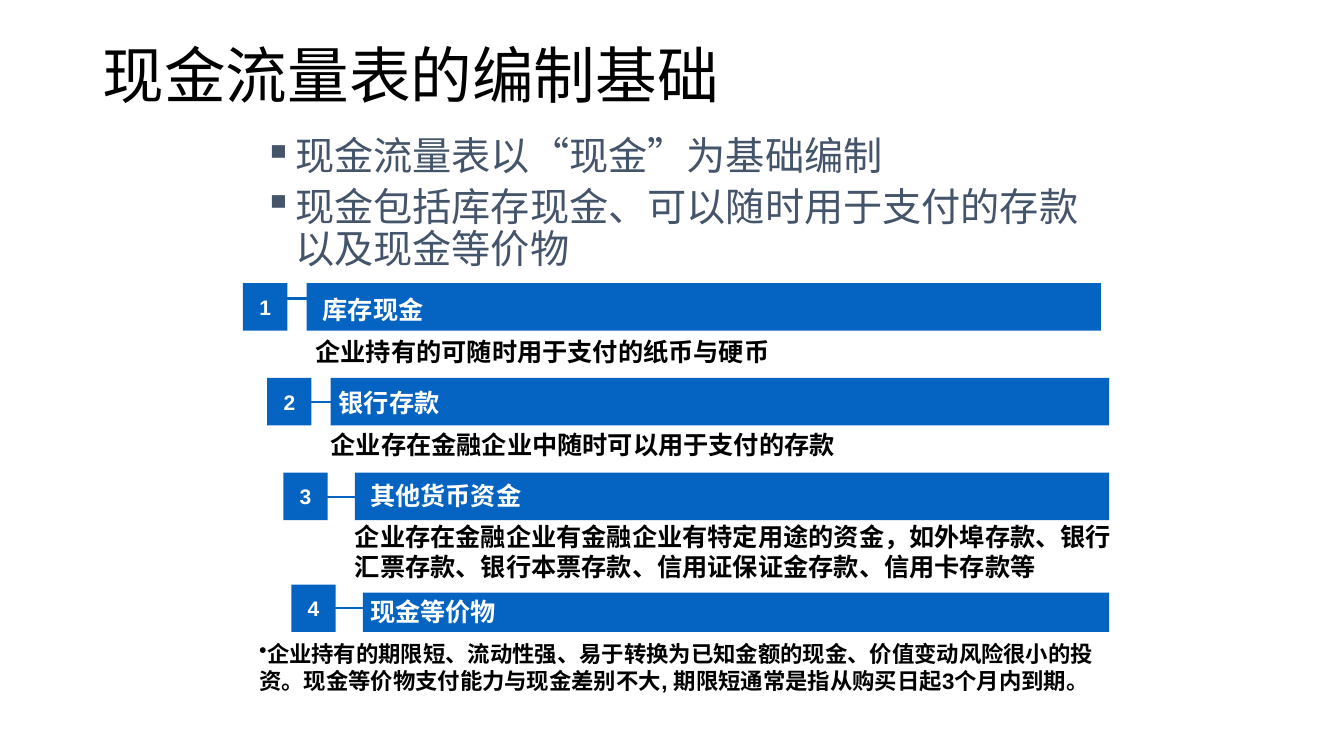
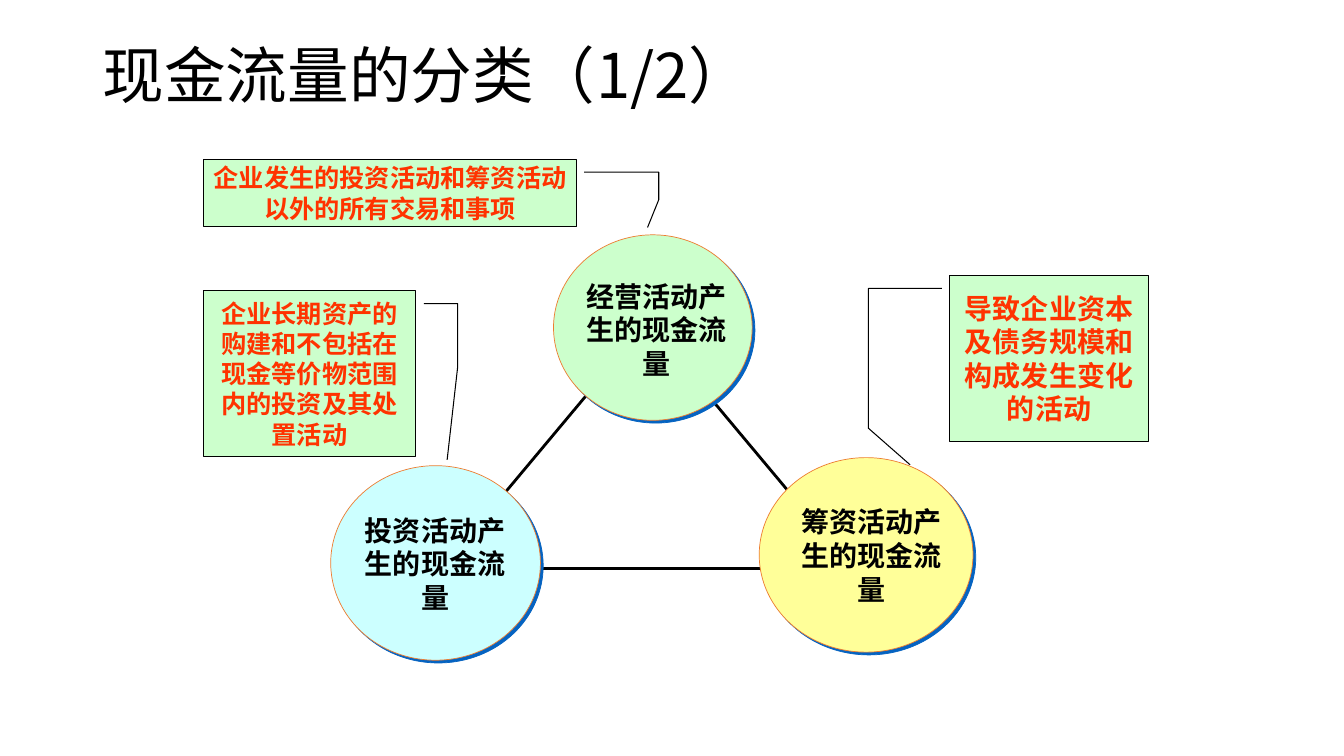
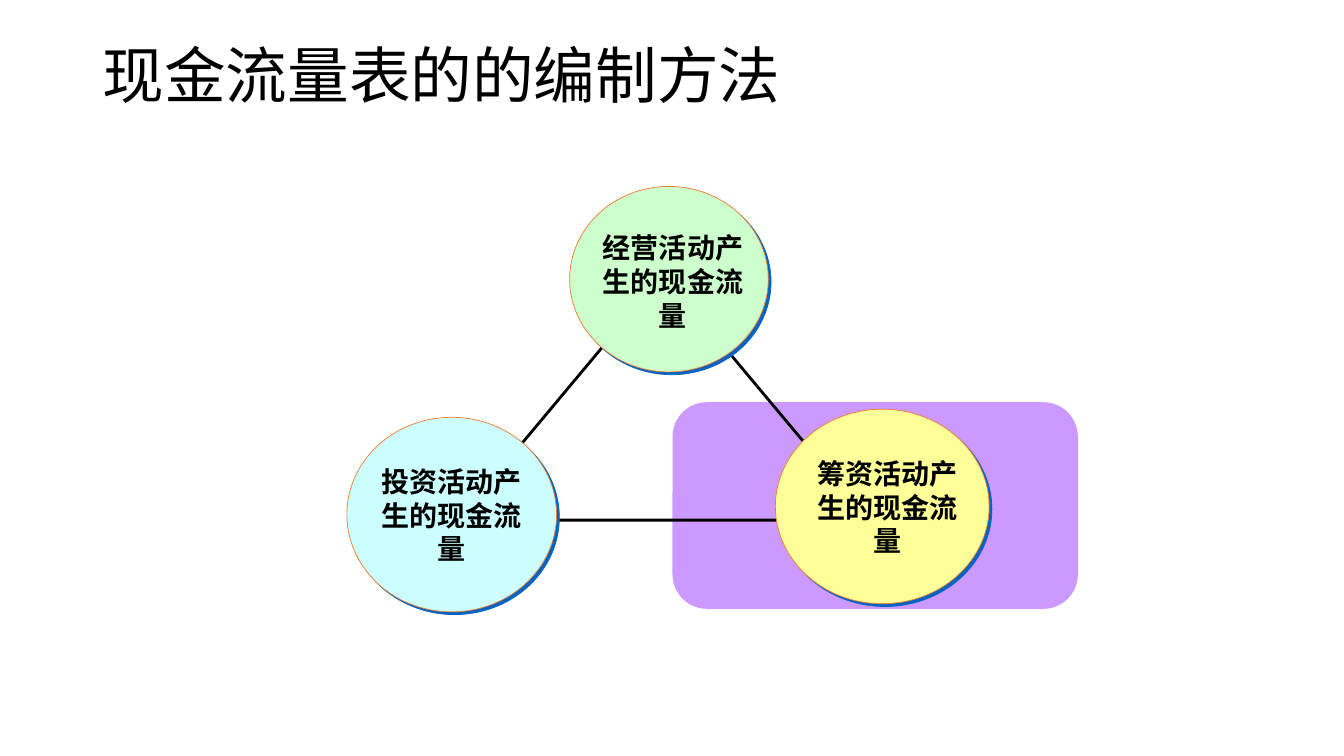
import dataclasses
import pptx
import pptx.dml.color
import pptx.enum.shapes
import pptx.enum.text
import pptx.oxml.ns
import pptx.slide
import pptx.util
from lxml import etree

Inches = pptx.util.Inches
Pt = pptx.util.Pt
KIND = pptx.enum.shapes.MSO_SHAPE
ANCHOR = pptx.enum.text.MSO_ANCHOR
ALIGN = pptx.enum.text.PP_ALIGN
FIT = pptx.enum.text.MSO_AUTO_SIZE
qn = pptx.oxml.ns.qn

COLORS = {
    "blue": "0563C1", "slate": "44546A", "black": "000000", "white": "FFFFFF",
    "green": "CCFFCC", "cyan": "CCFFFF", "yellow": "FFFF99", "violet": "CC99FF",
    "orange": "ED7D31", "red": "FF3300",
}
BODY, HAN = "Arial", "Noto Sans CJK SC"


@dataclasses.dataclass(frozen=True)
class Box:
    x: float
    y: float
    w: float
    h: float

    def move(self, dx: float, dy: float) -> "Box":
        return Box(self.x + dx, self.y + dy, self.w, self.h)

    def place(self) -> tuple:
        return Inches(self.x), Inches(self.y), Inches(self.w), Inches(self.h)


@dataclasses.dataclass(frozen=True)
class Style:
    size: float
    color: str = "black"
    bold: bool = True
    font: str = BODY


@dataclasses.dataclass(frozen=True)
class Step:
    chip: Box
    bar: Box
    wire: float
    head: str
    label: Box
    text: str
    note: Box
    size: float = 18
    bullet: str = ""


@dataclasses.dataclass(frozen=True)
class Node:
    box: Box
    fill: str
    text: str
    label: Box


@dataclasses.dataclass(frozen=True)
class Callout:
    box: Box
    text: str
    size: float
    bends: tuple


STEPS = [
    Step(Box(2.41, 2.81, 0.44, 0.47), Box(3.04, 2.81, 7.88, 0.47), 2.96,
         "库存现金", Box(3.2, 2.92, 6.49, 0.3),
         "企业持有的可随时用于支付的纸币与硬币", Box(3.13, 3.34, 6.49, 0.3)),
    Step(Box(2.65, 3.75, 0.44, 0.47), Box(3.28, 3.75, 7.72, 0.47), 3.99,
         "银行存款", Box(3.36, 3.84, 6.49, 0.3),
         "企业存在金融企业中随时可以用于支付的存款", Box(3.28, 4.26, 6.77, 0.3)),
    Step(Box(2.81, 4.69, 0.44, 0.47), Box(3.52, 4.69, 7.48, 0.47), 4.93,
         "其他货币资金", Box(3.67, 4.77, 6.49, 0.3),
         "企业存在金融企业有金融企业有特定用途的资金，如外埠存款、银行汇票存款、"
         "银行本票存款、信用证保证金存款、信用卡存款等", Box(3.52, 5.17, 7.64, 0.6)),
    Step(Box(2.89, 5.8, 0.44, 0.47), Box(3.6, 5.88, 7.4, 0.39), 6.03,
         "现金等价物", Box(3.67, 5.92, 6.49, 0.3),
         "企业持有的期限短、流动性强、易于转换为已知金额的现金、价值变动风险很小的投资。"
         "现金等价物支付能力与现金差别不大, 期限短通常是指从购买日起3个月内到期。",
         Box(2.57, 6.35, 8.45, 0.53), 16, "•"),
]
POINTS = [
    "现金流量表以“现金”为基础编制",
    "现金包括库存现金、可以随时用于支付的存款以及现金等价物",
]
FRAME = Box(4.38, 3.2, 4.08, 2.44)
NODES = [
    Node(Box(5.49, 2.33, 1.97, 1.84), "green", "经营活动产生的现金流量", Box(5.72, 2.77, 1.59, 1)),
    Node(Box(3.28, 4.62, 2.08, 1.93), "cyan", "投资活动产生的现金流量", Box(3.52, 5.09, 1.59, 1)),
    Node(Box(7.53, 4.54, 2.12, 1.93), "yellow", "筹资活动产生的现金流量", Box(7.85, 5.01, 1.59, 1)),
]
CALLOUTS = [
    Callout(Box(2.02, 1.58, 3.7, 0.67), "企业发生的投资活动和筹资活动以外的所有交易和事项", 18,
            (0.19, 1.02, 0.19, 1.22, 0.6, 1.22, 1.01, 1.19)),
    Callout(Box(2.02, 2.88, 2.1, 1.65), "企业长期资产的购建和不包括在现金等价物范围内的投资及其处置活动", 18,
            (0.08, 1.04, 0.08, 1.2, 0.46, 1.2, 1.02, 1.15)),
    Callout(Box(9.42, 2.73, 1.97, 1.65), "导致企业资本及债务规模和构成发生变化的活动", 20,
            (0.08, -0.04, 0.08, -0.41, 0.92, -0.41, 1.14, -0.2)),
]


def rgb(name: str) -> pptx.dml.color.RGBColor:
    return pptx.dml.color.RGBColor.from_string(COLORS[name])


# Text helpers
def add_run(para, text: str, style: Style) -> None:
    run = para.add_run()
    run.text = text
    font = run.font
    font.size, font.bold, font.name = Pt(style.size), style.bold, style.font
    font.color.rgb = rgb(style.color)
    han = etree.SubElement(run._r.get_or_add_rPr(), qn("a:ea"))
    han.set("typeface", HAN)


def add_mark(para, mark: str, left: float = 0, hang: float = 0, color: str = "black") -> None:
    props = para._p.get_or_add_pPr()
    props.set("marL", str(Inches(left)))
    props.set("indent", str(Inches(hang)))
    tint = etree.SubElement(props, qn("a:buClr"))
    etree.SubElement(tint, qn("a:srgbClr")).set("val", COLORS[color])
    etree.SubElement(props, qn("a:buChar")).set("char", mark)


def trim(frame) -> None:
    frame.margin_left = frame.margin_right = frame.margin_top = frame.margin_bottom = 0
    frame.vertical_anchor = ANCHOR.MIDDLE


def add_label(slide: pptx.slide.Slide, box: Box, text: str, style: Style,
              align: ALIGN = ALIGN.LEFT, mark: str = "") -> None:
    frame = slide.shapes.add_textbox(*box.place()).text_frame
    frame.word_wrap, frame.auto_size = True, FIT.SHAPE_TO_FIT_TEXT
    trim(frame)
    para = frame.paragraphs[0]
    para.alignment = align
    if mark:
        add_mark(para, mark)
    add_run(para, text, style)


def add_title(slide: pptx.slide.Slide, text: str) -> None:
    frame = slide.shapes.add_textbox(*Box(0.92, 0.4, 11.5, 1.45).place()).text_frame
    frame.word_wrap = True
    para = frame.paragraphs[0]
    para.line_spacing = 0.9
    add_run(para, text, Style(44, bold=False, font=HAN))


# Shape helpers
def add_shape(slide: pptx.slide.Slide, kind: KIND, box: Box, fill: str = "",
              line: str = "", width: float = 0):
    shape = slide.shapes.add_shape(kind, *box.place())
    shape.shadow.inherit = False
    if fill:
        shape.fill.solid()
        shape.fill.fore_color.rgb = rgb(fill)
    else:
        shape.fill.background()
    if line:
        shape.line.color.rgb = rgb(line)
        shape.line.width = Pt(width)
    else:
        shape.line.fill.background()
    return shape


def add_wire(slide: pptx.slide.Slide, x: float, y: float, length: float) -> None:
    wire = slide.shapes.add_connector(
        pptx.enum.shapes.MSO_CONNECTOR.STRAIGHT,
        Inches(x), Inches(y), Inches(x + length), Inches(y))
    wire.line.color.rgb = rgb("blue")
    wire.line.width = Pt(1.75)
    etree.SubElement(wire._element.spPr, qn("a:effectLst"))


def add_shade(shape) -> None:
    effects = shape._element.spPr.find(qn("a:effectLst"))
    shade = etree.SubElement(effects, qn("a:outerShdw"), dist=str(Pt(2.8)),
                             dir=str(45 * 60000), algn="ctr", rotWithShape="0")
    etree.SubElement(shade, qn("a:srgbClr")).set("val", COLORS["blue"])


# Repeated parts
def add_step(slide: pptx.slide.Slide, number: int, step: Step) -> None:
    add_wire(slide, step.chip.x + 0.39, step.wire, 6.94)
    chip = add_shape(slide, KIND.RECTANGLE, step.chip, "blue")
    frame = chip.text_frame
    trim(frame)
    frame.word_wrap = False
    para = frame.paragraphs[0]
    para.alignment = ALIGN.CENTER
    add_run(para, str(number), Style(15, "white"))
    add_shape(slide, KIND.RECTANGLE, step.bar, "blue")
    add_label(slide, step.label, step.head, Style(18, "white"))
    add_label(slide, step.note, step.text, Style(step.size), mark=step.bullet)


def add_cycle(slide: pptx.slide.Slide, dx: float = 0, dy: float = 0) -> None:
    add_shape(slide, KIND.ISOSCELES_TRIANGLE, FRAME.move(dx, dy), line="black", width=2)
    for node in NODES:
        disc = add_shape(slide, KIND.OVAL, node.box.move(dx, dy), node.fill, "orange", 0.5)
        add_shade(disc)
        add_label(slide, node.label.move(dx, dy), node.text, Style(20), ALIGN.CENTER)


def add_callout(slide: pptx.slide.Slide, call: Callout) -> None:
    shape = add_shape(slide, KIND.LINE_CALLOUT_3, call.box, "green", "black", 0.75)
    for index, bend in enumerate(call.bends):
        shape.adjustments[index] = bend
    frame = shape.text_frame
    frame.word_wrap, frame.vertical_anchor = True, ANCHOR.MIDDLE
    para = frame.paragraphs[0]
    para.alignment = ALIGN.CENTER
    add_run(para, call.text, Style(call.size, "red"))


# Slides
def draw_base(slide: pptx.slide.Slide) -> None:
    add_title(slide, "现金流量表的编制基础")
    for number, step in enumerate(STEPS, 1):
        add_step(slide, number, step)
    frame = slide.shapes.add_textbox(*Box(2.02, 1.31, 9, 1.57).place()).text_frame
    frame.word_wrap = True
    for index, point in enumerate(POINTS):
        para = frame.add_paragraph() if index else frame.paragraphs[0]
        add_mark(para, "▪", 0.81, -0.31, "slate")
        para.line_spacing = 0.9
        if index:
            para.space_before = Pt(5.6)
        add_run(para, point, Style(28, "slate", False))


def draw_types(slide: pptx.slide.Slide) -> None:
    add_title(slide, "现金流量的分类（1/2）")
    add_cycle(slide)
    for call in CALLOUTS:
        add_callout(slide, call)


def draw_method(slide: pptx.slide.Slide) -> None:
    add_title(slide, "现金流量表的的编制方法")
    add_shape(slide, KIND.ROUNDED_RECTANGLE, Box(6.67, 3.99, 4.02, 2.05), "violet")
    add_cycle(slide, 0.16, -0.48)


def main() -> None:
    deck = pptx.Presentation()
    deck.slide_width, deck.slide_height = Inches(13.33), Inches(7.5)
    for draw in (draw_base, draw_types, draw_method):
        draw(deck.slides.add_slide(deck.slide_layouts[6]))
    deck.save("out.pptx")


if __name__ == "__main__":
    main()
